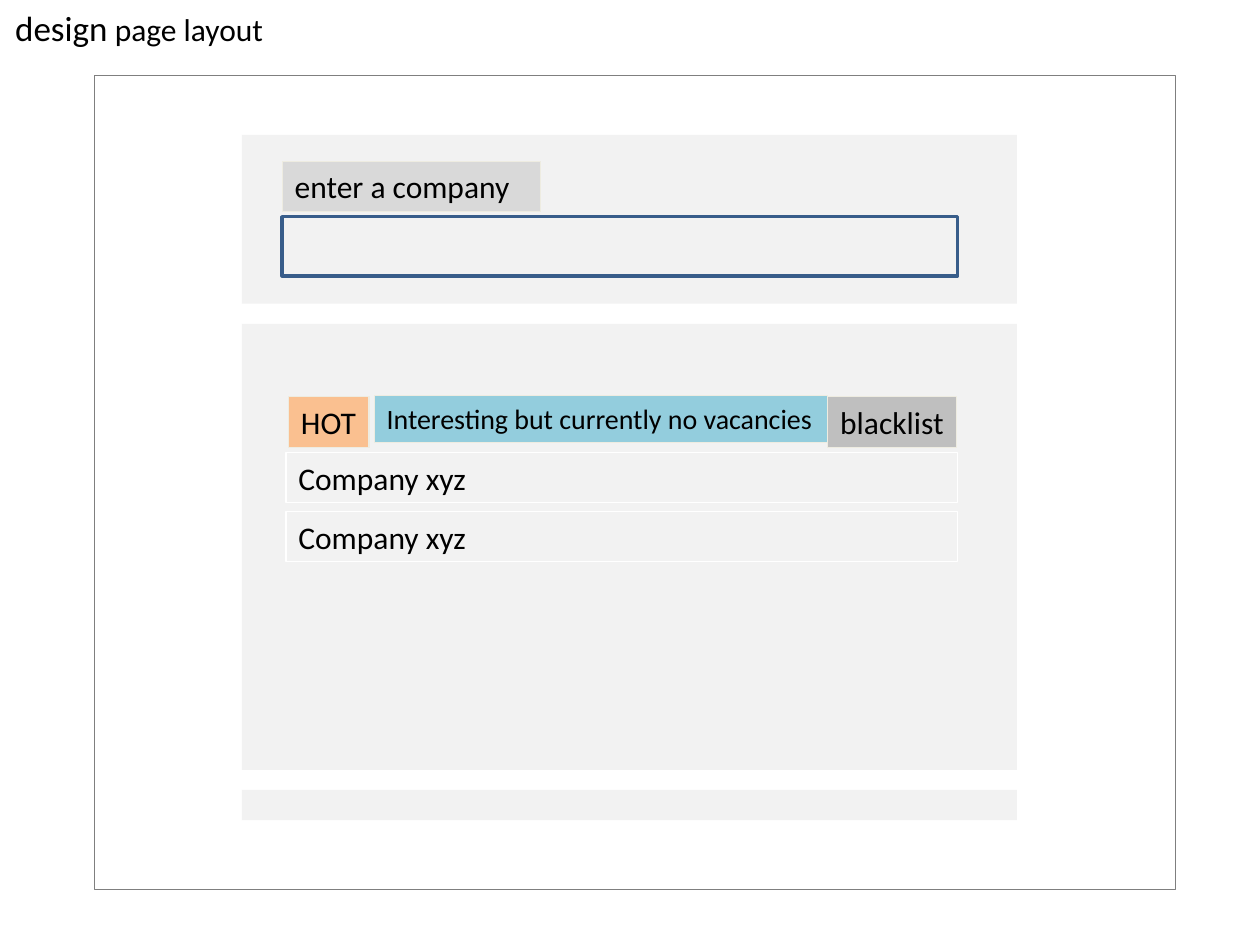
from dataclasses import dataclass
from typing import Optional

from pptx import Presentation
from pptx.dml.color import RGBColor
from pptx.enum.shapes import MSO_SHAPE
from pptx.enum.text import MSO_ANCHOR, MSO_AUTO_SIZE, PP_ALIGN
from pptx.util import Inches, Pt

FONT = "Calibri"
PANEL_GREY = "F2F2F2"
TAB_LINE = "EEECE1"


@dataclass
class Box:
    left: float
    top: float
    width: float
    height: float
    fill: Optional[str] = None
    line: Optional[str] = None
    weight: float = 0.75
    text: str = ""
    size: int = 18
    wrap: bool = True
    rounded: bool = False


def rgb(value: str) -> RGBColor:
    return RGBColor.from_string(value)


def add_run(p, text: str, size: int) -> None:
    r = p.add_run()
    r.text = text
    r.font.name = FONT
    r.font.size = Pt(size)
    r.font.color.rgb = rgb("000000")


def format_text(tf, wrap: bool):
    """Set up a left-aligned, top-anchored frame and return its paragraph."""
    tf.word_wrap = wrap
    tf.auto_size = MSO_AUTO_SIZE.SHAPE_TO_FIT_TEXT
    tf.vertical_anchor = MSO_ANCHOR.TOP
    tf.margin_left = tf.margin_right = Inches(0.1)
    tf.margin_top = tf.margin_bottom = Inches(0.05)
    p = tf.paragraphs[0]
    p.alignment = PP_ALIGN.LEFT
    return p


def add_box(s, box: Box) -> None:
    kind = MSO_SHAPE.ROUNDED_RECTANGLE if box.rounded else MSO_SHAPE.RECTANGLE
    sp = s.shapes.add_shape(kind, Inches(box.left), Inches(box.top),
                            Inches(box.width), Inches(box.height))
    sp.shadow.inherit = False
    if box.rounded:
        sp.adjustments[0] = 0
    if box.fill:
        sp.fill.solid()
        sp.fill.fore_color.rgb = rgb(box.fill)
    else:
        sp.fill.background()
    if box.line:
        sp.line.color.rgb = rgb(box.line)
        sp.line.width = Pt(box.weight)
    else:
        sp.line.fill.background()
    if box.text:
        add_run(format_text(sp.text_frame, box.wrap), box.text, box.size)


def panel(top: float, height: float) -> Box:
    return Box(1.92, top, 6.15, height, PANEL_GREY, rounded=True)


def tab(left: float, top: float, width: float, height: float, fill: str,
        text: str, size: int = 18, wrap: bool = False) -> Box:
    return Box(left, top, width, height, fill, TAB_LINE,
               text=text, size=size, wrap=wrap)


def company_row(index: int) -> Box:
    return Box(2.27, 3.59 + 0.47 * index, 5.33, 0.4,
               line="FFFFFF", text="Company xyz")


def main() -> None:
    prs = Presentation()
    prs.slide_width, prs.slide_height = Inches(10), Inches(7.5)
    s = prs.slides.add_slide(prs.slide_layouts[5])

    # Title
    title = s.shapes.title
    title.left, title.top = Inches(0.02), Inches(0)
    title.width, title.height = Inches(2.18), Inches(0.44)
    p = format_text(title.text_frame, wrap=False)
    add_run(p, "design", 20)
    add_run(p, " page layout", 18)

    boxes = [
        # Page frame and panels
        Box(0.75, 0.6, 8.58, 6.46, line="7F7F7F", weight=0.5),
        panel(1.07, 1.34),
        panel(2.57, 3.54),
        panel(6.27, 0.24),
        # Company entry field
        Box(2.24, 1.72, 5.36, 0.47, PANEL_GREY, "385D8A", 2),
        tab(2.24, 1.28, 2.05, 0.4, "D9D9D9", "enter a company", wrap=True),
        # Category tabs
        tab(2.29, 3.15, 0.64, 0.4, "FAC090", "HOT"),
        tab(2.97, 3.14, 3.6, 0.37, "93CDDD",
            "Interesting but currently no vacancies", 16),
        tab(6.57, 3.15, 1.02, 0.4, "BFBFBF", "blacklist"),
        # Company list
        *(company_row(i) for i in range(2)),
    ]
    for box in boxes:
        add_box(s, box)

    prs.save("out.pptx")


if __name__ == "__main__":
    main()
